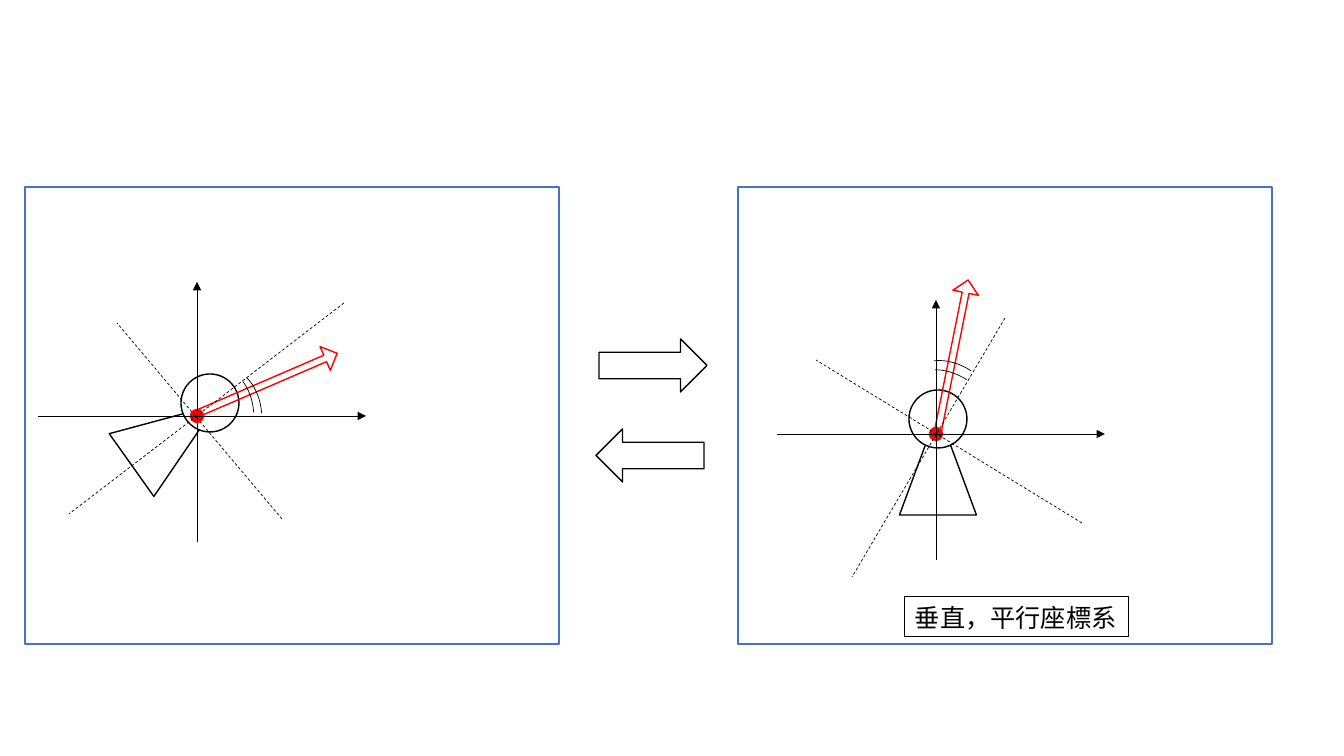
from pptx import Presentation
from pptx.dml.color import RGBColor
from pptx.enum.dml import MSO_LINE
from pptx.enum.shapes import MSO_CONNECTOR, MSO_SHAPE
from pptx.enum.text import MSO_ANCHOR, MSO_AUTO_SIZE, PP_ALIGN
from pptx.oxml.ns import qn
from pptx.util import Pt
from lxml.etree import SubElement

PX = 914400 / 100.8
COLORS = {"black": "000000", "white": "FFFFFF", "red": "FF0000", "blue": "4472C4"}
LABEL = "垂直，平行座標系"

# Parts shared by both figures: preset, width, height, fill, line, weight, adjustments
PARTS = {
    "body": (MSO_SHAPE.ISOSCELES_TRIANGLE, 77, 104, "white", "black", 1, ()),
    "head": (MSO_SHAPE.OVAL, 58, 58, "white", "black", 1, ()),
    "gaze": (MSO_SHAPE.RIGHT_ARROW, 155, 26, None, "red", 1, (0.27, 0.5)),
    "pivot": (MSO_SHAPE.OVAL, 13, 13, "red", "red", 1, ()),
    "inner arc": (MSO_SHAPE.ARC, 68, 99, None, "black", 0.5, (181.18, 210.46)),
    "outer arc": (MSO_SHAPE.ARC, 68, 99, None, "black", 0.5, (176.64, 210.46)),
}
# Axes from the origin of a figure: x1, y1, x2, y2
AXES = [(-159, 0, 169, 0), (0, 126, 0, -134)]

# Each figure: origin, part centres from the origin with rotation, dashed lines
FIGURES = [
    {"origin": (197, 416),
     "parts": {"body": (-23, 19, 54.6), "head": (13, -13, 0), "gaze": (69, -32, -23.3),
               "pivot": (0, 0, 0), "inner arc": (23, 2, 0), "outer arc": (31, 3, 0)},
     "dashes": [(147, -113, -128, 98), (85, 103, -80, -93)]},
    {"origin": (936, 434),
     "parts": {"body": (2, 29, 0), "head": (2, -15, 0), "gaze": (17, -78, -78.7),
               "pivot": (0, 0, 0), "inner arc": (15, -24, -53.4), "outer arc": (19, -33, -52.2)},
     "dashes": [(69, -116, -84, 143), (146, 89, -120, -74)]},
]
# Preset, left, top, width, height, fill, line, weight
BLOCKS = [
    (MSO_SHAPE.RIGHT_ARROW, 599, 339, 108, 53, "white", "black", 1),
    (MSO_SHAPE.LEFT_ARROW, 596, 429, 108, 53, "white", "black", 1),
    (MSO_SHAPE.RECTANGLE, 25, 187, 534, 457, None, "blue", 1),
    (MSO_SHAPE.RECTANGLE, 738, 187, 534, 457, None, "blue", 1),
]


def px(n):
    return round(n * PX)


def rgb(name):
    return RGBColor.from_string(COLORS[name])


def add_block(kind, x, y, w, h, fill, line, weight, adj=(), rotation=0):
    s = slide.shapes.add_shape(kind, px(x), px(y), px(w), px(h))
    s.shadow.inherit = False
    s.rotation = rotation
    for i, value in enumerate(adj):
        s.adjustments[i] = value
    if fill:
        s.fill.solid()
        s.fill.fore_color.rgb = rgb(fill)
    else:
        s.fill.background()
    s.line.color.rgb = rgb(line)
    s.line.width = Pt(weight)
    return s


def add_line(origin, ends, dashed):
    ox, oy = origin
    x1, y1, x2, y2 = ends
    c = slide.shapes.add_connector(MSO_CONNECTOR.STRAIGHT, px(ox + x1), px(oy + y1),
                                   px(ox + x2), px(oy + y2))
    c.line.color.rgb = rgb("black")
    c.line.width = Pt(0.5)
    if dashed:
        c.line.dash_style = MSO_LINE.DASH
    else:
        SubElement(c.line._get_or_add_ln(), qn("a:tailEnd"), type="triangle")
    SubElement(c._element.spPr, qn("a:effectLst"))


prs = Presentation()
prs.slide_width, prs.slide_height = px(1344), px(756)
slide = prs.slides.add_slide(prs.slide_layouts[6])

# Figures with their axes and directions
for figure in FIGURES:
    ox, oy = figure["origin"]
    for name, (dx, dy, rotation) in figure["parts"].items():
        kind, w, h, *style = PARTS[name]
        add_block(kind, ox + dx - w / 2, oy + dy - h / 2, w, h, *style, rotation)
    for ends in AXES:
        add_line(figure["origin"], ends, False)
    for ends in figure["dashes"]:
        add_line(figure["origin"], ends, True)

# Arrows between the figures, and the panels
for block in BLOCKS:
    add_block(*block)

# Label
sp = add_block(MSO_SHAPE.RECTANGLE, 905, 597, 224, 40, None, "black", 0.75)
tf = sp.text_frame
for key, value in {"word_wrap": False, "auto_size": MSO_AUTO_SIZE.SHAPE_TO_FIT_TEXT,
                   "vertical_anchor": MSO_ANCHOR.TOP}.items():
    setattr(tf, key, value)
p = tf.paragraphs[0]
p.alignment = PP_ALIGN.LEFT
r = p.add_run()
r.text = LABEL
for key, value in {"size": Pt(18), "name": "Calibri"}.items():
    setattr(r.font, key, value)
r.font.color.rgb = rgb("black")

prs.save("out.pptx")
